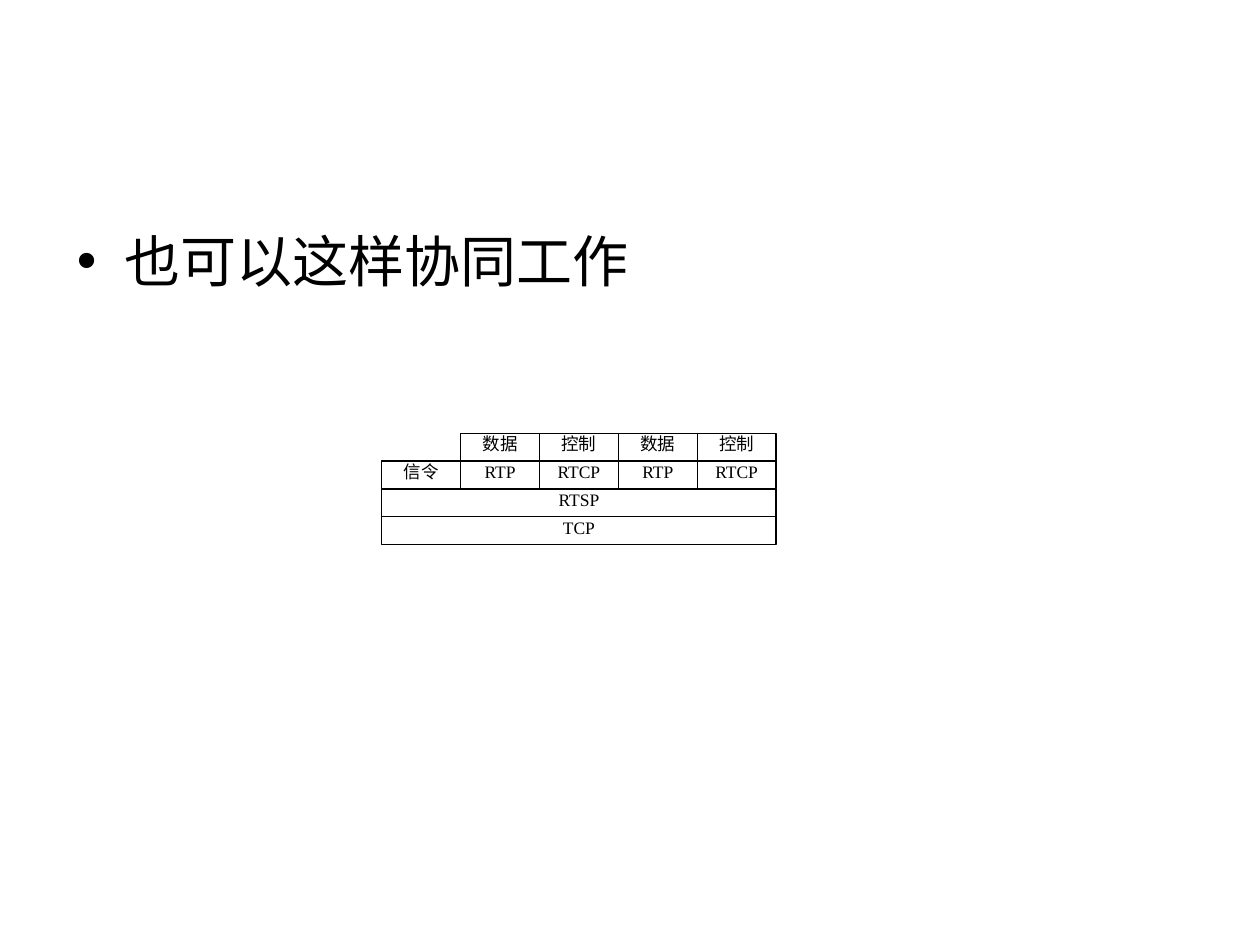
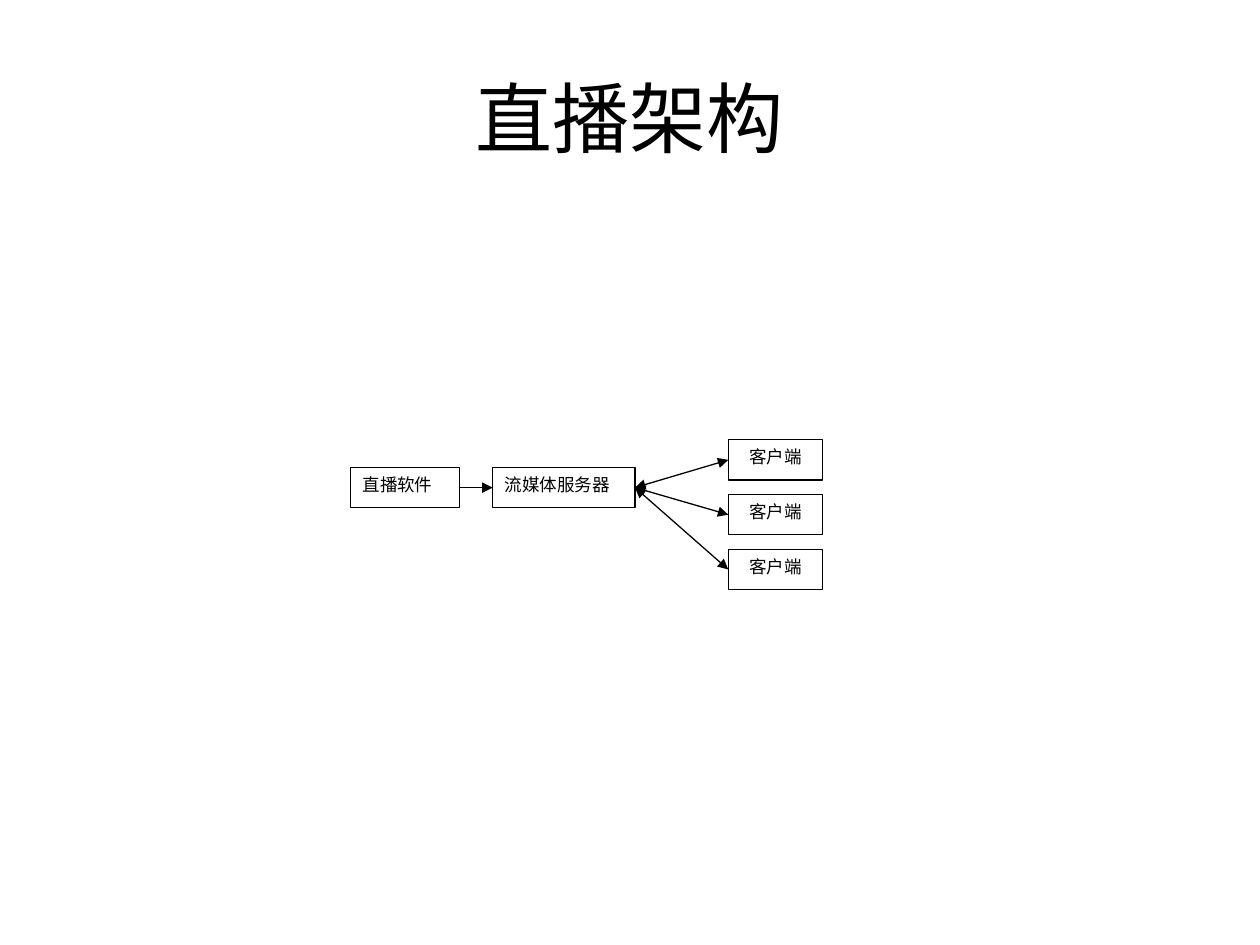
"""Build two slides on streaming: a protocol stack and the live broadcast architecture."""
from lxml import etree
from pptx import Presentation
from pptx.dml.color import RGBColor
from pptx.enum.shapes import MSO_CONNECTOR, MSO_SHAPE
from pptx.enum.text import MSO_ANCHOR, MSO_AUTO_SIZE, PP_ALIGN
from pptx.oxml.ns import qn
from pptx.util import Inches, Pt

BLACK = RGBColor(0, 0, 0)
WHITE = RGBColor(255, 255, 255)
HEADING_FONT = "Arial"
LABEL_FONT = "Times New Roman"
LEFT, CENTER, JUSTIFY = PP_ALIGN.LEFT, PP_ALIGN.CENTER, PP_ALIGN.JUSTIFY
TOP, MIDDLE = MSO_ANCHOR.TOP, MSO_ANCHOR.MIDDLE
NO_AUTOFIT = MSO_AUTO_SIZE.NONE
RECTANGLE = MSO_SHAPE.RECTANGLE
STRAIGHT = MSO_CONNECTOR.STRAIGHT


def write(shape, text, size, font, align, anchor, margins=(0.1, 0.05)):
    frame = shape.text_frame
    frame.auto_size = NO_AUTOFIT
    frame.word_wrap = True
    frame.vertical_anchor = anchor
    frame.margin_left = frame.margin_right = Inches(margins[0])
    frame.margin_top = frame.margin_bottom = Inches(margins[1])
    para = frame.paragraphs[0]
    para.alignment = align
    para.space_before = Pt(0)
    span = para.add_run()
    span.text = text
    span.font.size = Pt(size)
    span.font.name = font
    span.font.color.rgb = BLACK
    return para


def add_box(page, text, left, top, width, height, align, margins=(0.1, 0.05)):
    box = page.shapes.add_shape(
        RECTANGLE, Inches(left), Inches(top), Inches(width), Inches(height))
    box.shadow.inherit = False
    box.fill.solid()
    box.fill.fore_color.rgb = WHITE
    box.line.color.rgb = BLACK
    box.line.width = Pt(0.75)
    write(box, text, 10, LABEL_FONT, align, TOP, margins)


deck = Presentation()
deck.slide_width, deck.slide_height = Inches(10), Inches(7.5)
content_layout, title_only_layout = deck.slide_layouts[1], deck.slide_layouts[5]

page = deck.slides.add_slide(content_layout)
empty_title = page.shapes.title.element
empty_title.getparent().remove(empty_title)
body = page.placeholders[1]
body.left, body.top = Inches(0.51), Inches(1.75)
body.width, body.height = Inches(8.99), Inches(0.82)
para = write(body, "也可以这样协同工作", 32, HEADING_FONT, LEFT, TOP)
properties = para._p.get_or_add_pPr()
properties.set("marL", str(Inches(0.38)))
properties.set("indent", str(-Inches(0.38)))
etree.SubElement(properties, qn("a:buFont"), typeface=HEADING_FONT)
etree.SubElement(properties, qn("a:buChar"), char="•")

STACK_LEFT, STACK_TOP, STACK_WIDTH = 3.03, 3.44, 3.13
ROW_HEIGHT = 0.22
COLUMN_WIDTH = STACK_WIDTH / 5
STACK_ROWS = [
    (1, COLUMN_WIDTH, ["数据", "控制", "数据", "控制"]),
    (0, COLUMN_WIDTH, ["信令", "RTP", "RTCP", "RTP", "RTCP"]),
    (0, STACK_WIDTH, ["RTSP"]),
    (0, STACK_WIDTH, ["TCP"]),
]
for row, (first_column, width, labels) in enumerate(STACK_ROWS):
    for column, label in enumerate(labels, first_column):
        add_box(page, label, STACK_LEFT + column * COLUMN_WIDTH,
                STACK_TOP + row * ROW_HEIGHT, width, ROW_HEIGHT, CENTER, (0, 0))

page = deck.slides.add_slide(title_only_layout)
title = page.shapes.title
title.left, title.top = Inches(0.5), Inches(0.3)
title.width, title.height = Inches(9), Inches(1.25)
write(title, "直播架构", 44, HEADING_FONT, CENTER, MIDDLE)

NODE_HEIGHT = 0.32
SOURCE_LEFT, SOURCE_WIDTH = 2.78, 0.87
SERVER_LEFT, SERVER_WIDTH = 3.91, 1.13
SERVER_TOP = 3.71
CLIENT_LEFT, CLIENT_WIDTH = 5.78, 0.75
CLIENT_TOPS = [3.49 + 0.435 * number for number in range(3)]
add_box(page, "直播软件", SOURCE_LEFT, SERVER_TOP, SOURCE_WIDTH, NODE_HEIGHT, JUSTIFY)
add_box(page, "流媒体服务器", SERVER_LEFT, SERVER_TOP, SERVER_WIDTH, NODE_HEIGHT, JUSTIFY)
for client_top in CLIENT_TOPS:
    add_box(page, "客户端", CLIENT_LEFT, client_top, CLIENT_WIDTH, NODE_HEIGHT, CENTER)

server_middle = SERVER_TOP + NODE_HEIGHT / 2
server_right = SERVER_LEFT + SERVER_WIDTH
arrows = [(SOURCE_LEFT + SOURCE_WIDTH, SERVER_LEFT, server_middle, ["a:tailEnd"])]
for client_top in CLIENT_TOPS:
    arrows.append((server_right, CLIENT_LEFT, client_top + NODE_HEIGHT / 2,
                   ["a:headEnd", "a:tailEnd"]))
for start_x, end_x, end_y, ends in arrows:
    arrow = page.shapes.add_connector(
        STRAIGHT, Inches(start_x), Inches(server_middle), Inches(end_x), Inches(end_y))
    arrow.line.color.rgb = BLACK
    arrow.line.width = Pt(0.75)
    for end in ends:
        etree.SubElement(arrow.line._get_or_add_ln(), qn(end), type="triangle")
    etree.SubElement(arrow._element.spPr, qn("a:effectLst"))

deck.save("out.pptx")
